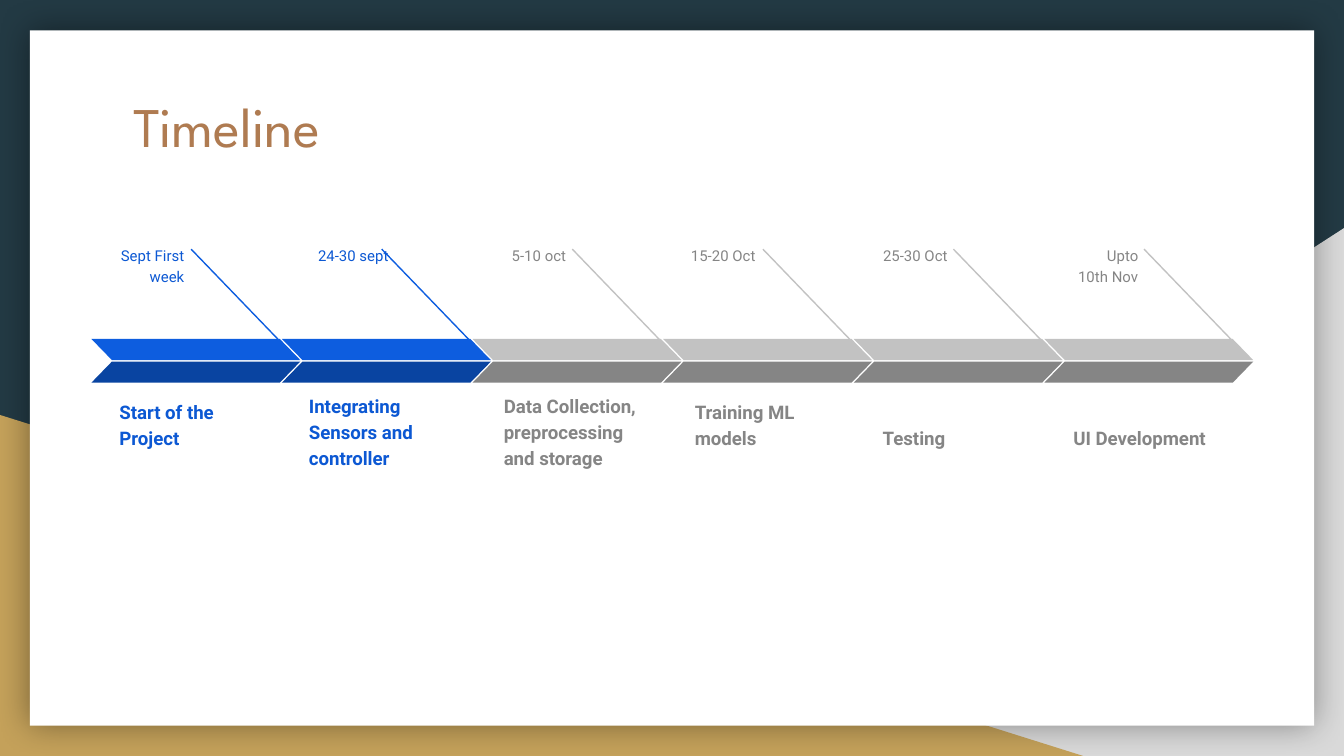
from lxml.etree import SubElement
from pptx import Presentation
from pptx.dml.color import RGBColor
from pptx.enum.shapes import MSO_CONNECTOR, MSO_SHAPE
from pptx.enum.text import MSO_ANCHOR, MSO_AUTO_SIZE, PP_ALIGN
from pptx.oxml.ns import qn
from pptx.util import Pt

# Content: date, date box (offset, width), task, task box (offset, top)
DONE = {"top": "0D5DDF", "bottom": "0944A1", "text": "0C58D3"}
TODO = {"top": "C2C2C2", "bottom": "858585", "text": "858585"}
TITLE = "Timeline"
STEPS = [
    ("Sept First week", (7.9, 49), "Start of the Project", (7.9, 212.4), DONE),
    ("24-30 sept", (7.3, 56.9), "Integrating Sensors and controller", (7.3, 223.2), DONE),
    ("5-10 oct", (8.2, 49), "Data Collection, preprocessing and storage", (9.6, 223.2), TODO),
    ("15-20 Oct", (7.6, 49), "Training ML models", (9.8, 212.4), TODO),
    ("25-30 Oct", (8.4, 49), "Testing", (8.4, 212.4), TODO),
    ("Upto 10th Nov", (8.4, 49), "UI Development", (8.4, 212.4), TODO),
]
BACKGROUND = "233A44"
BACKDROP = [
    (MSO_SHAPE.RIGHT_TRIANGLE, (282.2, 122.2, 437.8, 282.8), "D9D9D9", True),
    (MSO_SHAPE.RIGHT_TRIANGLE, (0, 222.3, 580.3, 182.7), "C4A15A", False),
    (MSO_SHAPE.RECTANGLE, (16, 16.2, 688, 372.5), "FFFFFF", False),
]

# Layout in points
LEFT, PITCH = 49, 102.1
BAR_W, BAR_H, BAR_TOP, BAR_STEP = 111.9, 11.3, 181.6, 12.1
LINE_X, LINE_TOP, LINE_W, LINE_H = 53.4, 133.5, 56.6, 58.7
DATE_TOP, DATE_H = 123.7, 18.9
TASK_W, TASK_H = 92.2, 35.4


def rgb(color):
    return RGBColor.from_string(color)


def add_shape(shapes, kind, box, color, flip=False):
    sp = shapes.add_shape(kind, *map(Pt, box))
    sp.shadow.inherit = False
    sp.fill.solid()
    sp.fill.fore_color.rgb = rgb(color)
    sp.line.fill.background()
    if flip:
        sp._element.spPr.xfrm.set("flipH", "1")
    return sp


def add_glow(sp):
    effects = sp._element.spPr.find(qn("a:effectLst"))
    shadow = SubElement(effects, qn("a:outerShdw"), blurRad=str(Pt(18)),
                        dist="0", dir="0", algn="ctr", rotWithShape="0")
    color = SubElement(shadow, qn("a:srgbClr"), val="000000")
    SubElement(color, qn("a:alpha"), val="40000")


def set_text(sp, text, font, color, anchor=MSO_ANCHOR.TOP, **paragraph):
    tf = sp.text_frame
    frame = {"word_wrap": True, "auto_size": MSO_AUTO_SIZE.NONE, "vertical_anchor": anchor}
    frame.update({f"margin_{side}": Pt(7.2) for side in ("left", "top", "right", "bottom")})
    p = tf.paragraphs[0]
    r = p.add_run()
    r.text = text
    for target, values in ((tf, frame), (p, paragraph), (r.font, font)):
        for name, value in values.items():
            setattr(target, name, value)
    r.font.color.rgb = rgb(color)


def add_step(slide, x, date, date_box, task, task_box, colors):
    shapes = slide.shapes.add_group_shape().shapes

    # Slanted marker line
    line_x = x + LINE_X
    line = shapes.add_connector(MSO_CONNECTOR.STRAIGHT, Pt(line_x), Pt(LINE_TOP),
                                Pt(line_x + LINE_W), Pt(LINE_TOP + LINE_H))
    line.line.color.rgb = rgb(colors["top"])
    line.line.width = Pt(0.75)
    SubElement(line._element.spPr, qn("a:effectLst"))

    # Two halves of the arrow
    for row, half in enumerate(("top", "bottom")):
        box = (x, BAR_TOP + row * BAR_STEP, BAR_W, BAR_H)
        bar = add_shape(shapes, MSO_SHAPE.PARALLELOGRAM, box, colors[half], flip=row == 0)
        bar.adjustments[0] = 0.97

    # Task below, date above
    offset, top = task_box
    sp = shapes.add_textbox(*map(Pt, (x + offset, top, TASK_W, TASK_H)))
    set_text(sp, task, {"name": "Roboto", "size": Pt(10), "bold": True}, colors["text"],
             MSO_ANCHOR.BOTTOM, line_spacing=1.15)
    offset, width = date_box
    sp = shapes.add_textbox(*map(Pt, (x + offset, DATE_TOP, width, DATE_H)))
    set_text(sp, date, {"name": "Roboto", "size": Pt(8)}, colors["text"],
             alignment=PP_ALIGN.RIGHT, line_spacing=1.15, space_after=Pt(16))


def main():
    prs = Presentation()
    prs.slide_width, prs.slide_height = Pt(720), Pt(405)
    s = prs.slides.add_slide(prs.slide_layouts[5])

    # Backdrop
    s.background.fill.solid()
    s.background.fill.fore_color.rgb = rgb(BACKGROUND)
    for kind, box, color, flip in BACKDROP:
        sp = add_shape(s.shapes, kind, box, color, flip)
    add_glow(sp)

    # Timeline
    for i, step in enumerate(STEPS):
        add_step(s, LEFT + i * PITCH, *step)

    # Title, in front of the card
    title = s.shapes.title
    title.left, title.top, title.width, title.height = map(Pt, (64.5, 41.8, 591, 51.8))
    set_text(title, TITLE, {"name": "League Spartan", "size": Pt(30)}, "AF7B51",
             alignment=PP_ALIGN.LEFT)
    s.shapes._spTree.append(title._element)

    prs.save("out.pptx")


if __name__ == "__main__":
    main()
